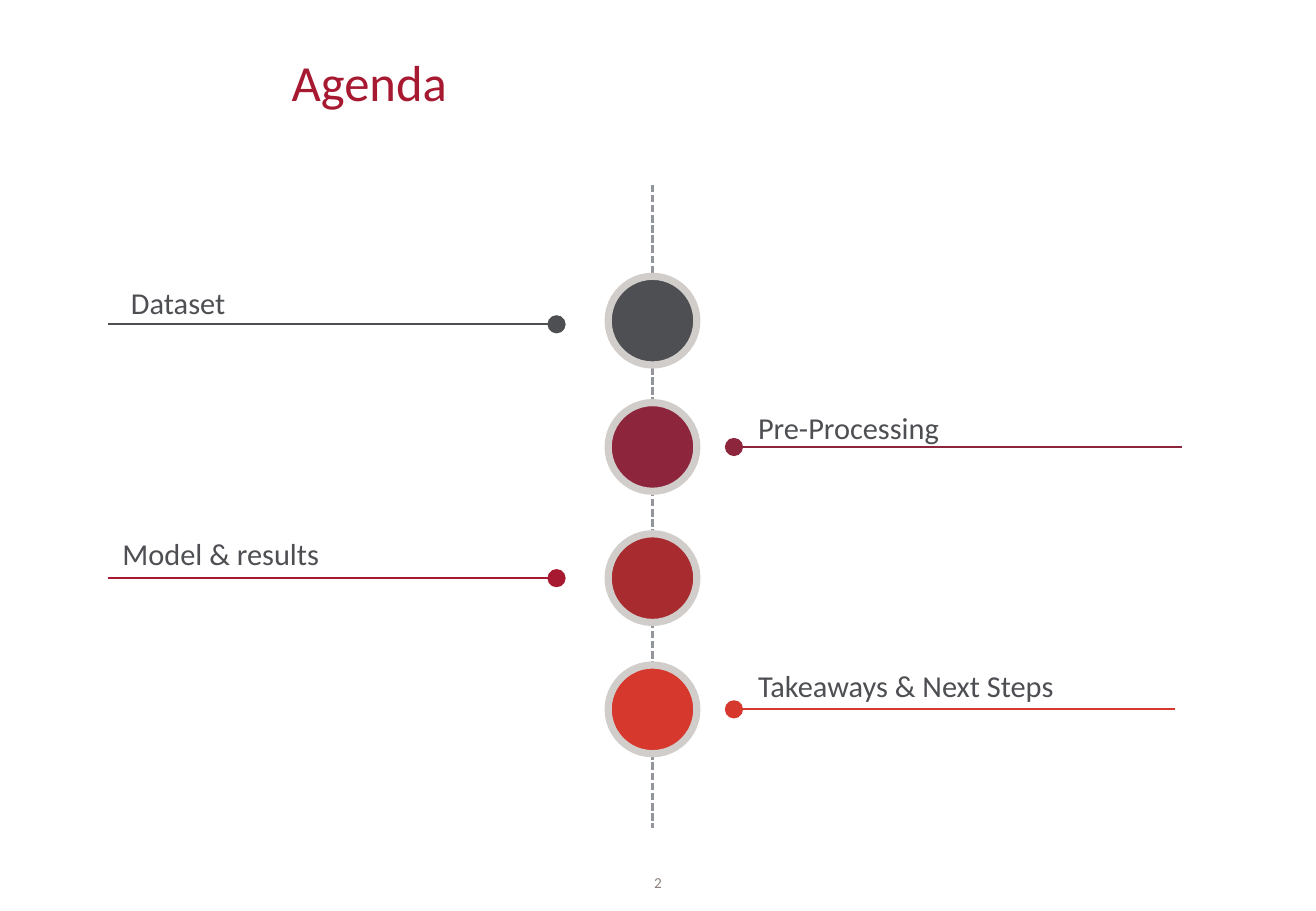
from pptx import Presentation
from pptx.dml.color import RGBColor
from pptx.enum.dml import MSO_LINE
from pptx.enum.shapes import MSO_CONNECTOR, MSO_SHAPE
from pptx.enum.text import MSO_ANCHOR, PP_ALIGN
from pptx.oxml.ns import qn
from pptx.util import Inches, Pt

OVAL = MSO_SHAPE.OVAL
STRAIGHT = MSO_CONNECTOR.STRAIGHT
DASH = MSO_LINE.SQUARE_DOT
TOP, BOTTOM = MSO_ANCHOR.TOP, MSO_ANCHOR.BOTTOM
LEFT, CENTER = PP_ALIGN.LEFT, PP_ALIGN.CENTER

FONT = "Calibri"
COLORS = {
    "gray": "4D4F53",
    "plum": "8D253D",
    "brick": "A82B2F",
    "red": "A71930",
    "coral": "D6382D",
    "ring": "D1CDCA",
    "axis": "92959A",
    "page": "8D817B",
}

AXIS_X = 5.37
NODE = 0.73  # diameter of a timeline circle
DOT = 0.15   # diameter of a line's end dot
DOT_X = {"left": 4.58, "right": 6.04}

# Label, label left and top, circle centre, line height,
# side, line's outer end, circle colour, line colour
TOPICS = [
    ("Dataset", 0.98, 2.29, 2.64, 2.67, "left", 0.89, "gray", "gray"),
    ("Pre-Processing", 6.14, 3.32, 3.68, 3.68, "right", 9.73, "plum", "plum"),
    ("Model & results", 0.91, 4.36, 4.76, 4.76, "left", 0.89, "brick", "red"),
    ("Takeaways & Next Steps", 6.14, 5.44, 5.84, 5.84, "right", 9.67,
     "coral", "coral"),
]


def rgb(name):
    return RGBColor.from_string(COLORS[name])


def add_text(slide, text, box, size, color, anchor=TOP, align=LEFT, inset=0):
    frame = slide.shapes.add_textbox(*map(Inches, box)).text_frame
    frame.word_wrap = True
    frame.vertical_anchor = anchor
    frame.margin_left = frame.margin_right = Inches(inset)
    frame.margin_top = frame.margin_bottom = Inches(inset / 2)
    frame.text = text
    para = frame.paragraphs[0]
    para.alignment = align
    font = para.runs[0].font
    font.name, font.size = FONT, Pt(size)
    font.color.rgb = rgb(color)


def add_disc(slide, x, y, size, color, ring=None):
    disc = slide.shapes.add_shape(
        OVAL, Inches(x - size / 2), Inches(y - size / 2),
        Inches(size), Inches(size))
    disc.shadow.inherit = False
    disc.fill.solid()
    disc.fill.fore_color.rgb = rgb(color)
    if ring:
        disc.line.color.rgb = rgb(ring)
        disc.line.width = Pt(4.25)
    else:
        disc.line.fill.background()


def add_line(slide, start, end, color, width, dash=None):
    line = slide.shapes.add_connector(STRAIGHT, *map(Inches, start + end))
    line.line.color.rgb = rgb(color)
    line.line.width = Pt(width)
    if dash:
        line.line.dash_style = dash
    props = line._element.spPr
    props.append(props.makeelement(qn("a:effectLst"), {}))


def add_topic(slide, topic):
    label, left, top, node_y, line_y, side, end_x, fill, color = topic
    dot_x = DOT_X[side]
    add_disc(slide, AXIS_X, node_y, NODE, fill, "ring")
    add_line(slide, (dot_x, line_y), (end_x, line_y), color, 1)
    add_disc(slide, dot_x, line_y, DOT, color)
    add_text(slide, label, (left, top, 3.6, 0.4), 18, "gray", inset=0.1)


def main():
    deck = Presentation()
    deck.slide_width, deck.slide_height = Inches(10.83), Inches(7.5)
    slide = deck.slides.add_slide(deck.slide_layouts[6])

    # Title and page number
    add_text(slide, "Agenda", (2.4, 0.21, 8.05, 0.71), 30, "red", BOTTOM)
    add_text(slide, "2", (5.17, 7.11, 0.49, 0.23), 9, "page", BOTTOM, CENTER)

    # Timeline axis, then its topics
    add_line(slide, (AXIS_X, 1.52), (AXIS_X, 6.82), "axis", 1.5, DASH)
    for topic in TOPICS:
        add_topic(slide, topic)

    deck.save("out.pptx")


if __name__ == "__main__":
    main()
